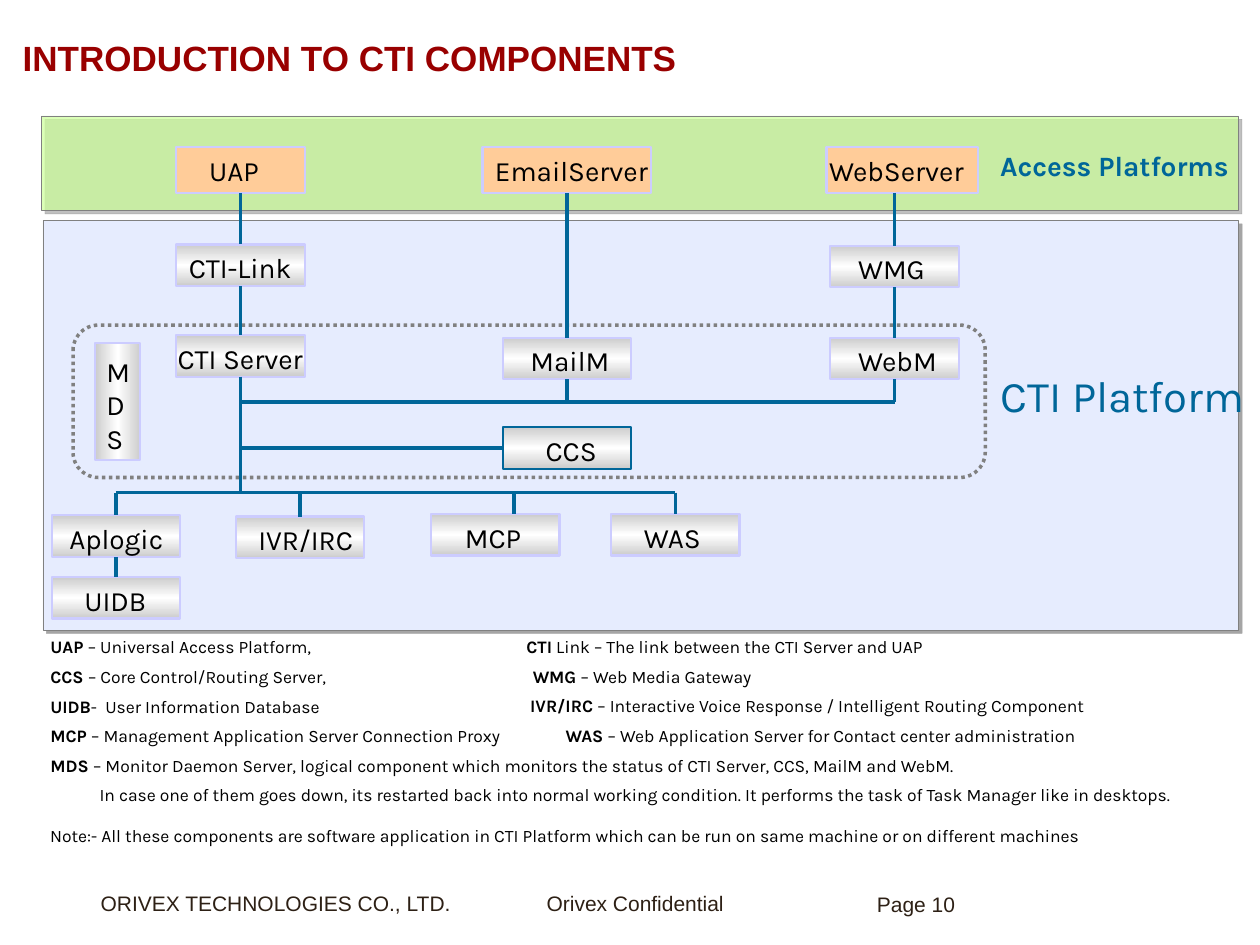
from copy import deepcopy
from dataclasses import dataclass

from lxml import etree
from pptx import Presentation
from pptx.dml.color import RGBColor
from pptx.enum.dml import MSO_LINE
from pptx.enum.shapes import MSO_CONNECTOR, MSO_SHAPE
from pptx.enum.text import MSO_ANCHOR, MSO_AUTO_SIZE, PP_ALIGN
from pptx.oxml import parse_xml
from pptx.oxml.ns import nsdecls, qn
from pptx.util import Inches, Pt

RECT, ROUND = MSO_SHAPE.RECTANGLE, MSO_SHAPE.ROUNDED_RECTANGLE
STRAIGHT, DOTTED = MSO_CONNECTOR.STRAIGHT, MSO_LINE.ROUND_DOT
LEFT, CENTER = PP_ALIGN.LEFT, PP_ALIGN.CENTER
TOP, MIDDLE = MSO_ANCHOR.TOP, MSO_ANCHOR.MIDDLE
N, W, S = 0, 1, 2
SITES = {N: (0.5, 0), W: (0, 0.5), S: (0.5, 1)}
COLS, ROWS = 100, 75


@dataclass(frozen=True)
class Theme:
    """Fonts, type sizes and colours."""
    head: str = "Arial"
    body: str = "Karla"
    title_size: float = 20
    platform_size: float = 25
    label_size: float = 16
    footer_size: float = 12
    note_size: float = 10
    title: str = "990000"
    text: str = "000000"
    footer: str = "2D2015"
    accent: str = "006699"
    edge: str = "CCCCFF"
    grey: str = "808080"
    shadow: str = "4D4D4D"
    steel: str = "CCCCCC"
    shine: str = "FFFFFF"
    server: str = "FFCC99"
    access: str = "CCFF99"
    platform: str = "E6ECFE"


class Deck:
    """Draws styled elements on a slide with a 100 by 75 grid."""

    def __init__(self, theme):
        self.t = theme
        self.prs = Presentation()
        self.prs.slide_width, self.prs.slide_height = Inches(10), Inches(7.5)
        self.s = self.prs.slides.add_slide(self.prs.slide_layouts[1])

    def x(self, cols):
        return round(self.prs.slide_width * cols / COLS)

    def y(self, rows):
        return round(self.prs.slide_height * rows / ROWS)

    def box(self, x, y, w, h):
        return self.x(x), self.y(y), self.x(w), self.y(h)

    def run(self, p, text, size, color, font=None, bold=False):
        r = p.add_run()
        r.text = text
        r.font.name, r.font.size, r.font.bold = font or self.t.body, Pt(size), bold
        r.font.color.rgb = RGBColor.from_string(color)

    def place(self, sp, area):
        sp.left, sp.top, sp.width, sp.height = self.box(*area)
        sp.text_frame.auto_size = MSO_AUTO_SIZE.NONE
        return sp.text_frame

    def title(self, text, area):
        tf = self.place(self.s.shapes.title, area)
        tf.vertical_anchor = MIDDLE
        p = tf.paragraphs[0]
        p.alignment = LEFT
        self.run(p, text, self.t.title_size, self.t.title, self.t.head, True)

    def body(self, lines, area):
        self.glossary(self.place(self.s.placeholders[1], area), lines)

    def side(self, lines, area):
        self.glossary(self.s.shapes.add_textbox(*self.box(*area)).text_frame, lines)

    def glossary(self, tf, lines):
        tf.word_wrap, tf.vertical_anchor = True, TOP
        for i, (indent, term, meaning) in enumerate(lines):
            p = tf.add_paragraph() if i else tf.paragraphs[0]
            pPr = p._p.get_or_add_pPr()
            pPr.set("marL", str(self.x(indent)))
            pPr.set("indent", "0")
            etree.SubElement(pPr, qn("a:buNone"))
            p.space_before = Pt(4.9 if i else 0)
            if term:
                self.run(p, term, self.t.note_size, self.t.text, bold=True)
            self.run(p, meaning, self.t.note_size, self.t.text)

    def text(self, text, area, size, color, font=None, bold=False, align=LEFT,
             inset=True, spacing=None):
        tf = self.s.shapes.add_textbox(*self.box(*area)).text_frame
        tf.word_wrap = True
        if not inset:
            tf.margin_left = tf.margin_right = tf.margin_top = tf.margin_bottom = 0
        p = tf.paragraphs[0]
        p.alignment, p.line_spacing = align, spacing
        self.run(p, text, size, color, font, bold)

    def shape(self, kind, area, line, width, fill=None):
        sp = self.s.shapes.add_shape(kind, *self.box(*area))
        sp.shadow.inherit = False
        sp.line.color.rgb = RGBColor.from_string(line)
        sp.line.width = Pt(width)
        if fill:
            sp.fill.solid()
            sp.fill.fore_color.rgb = RGBColor.from_string(fill)
        else:
            sp.fill.background()
        return sp

    def panel(self, area, fill, opacity=100):
        sp = self.shape(RECT, area, self.t.grey, 0.25, fill)
        spPr = sp._element.spPr
        clr = spPr.find(qn("a:solidFill")).find(qn("a:srgbClr"))
        etree.SubElement(clr, qn("a:alpha"), val=str(opacity * 1000))
        spPr.find(qn("a:effectLst")).append(parse_xml(
            f'<a:outerShdw {nsdecls("a")} blurRad="0" dist="{Pt(2.8)}" dir="2700000">'
            f'<a:srgbClr val="{self.t.shadow}"><a:alpha val="50000"/></a:srgbClr>'
            '</a:outerShdw>'))

    def frame(self, area):
        sp = self.shape(ROUND, area, self.t.grey, 2)
        sp.line.dash_style = DOTTED

    def metal(self, sp, angle):
        sp.fill.gradient()
        sp.fill.gradient_angle = angle
        for stop in sp.fill.gradient_stops:
            stop.color.rgb = RGBColor.from_string(self.t.steel)
        gs = sp._element.spPr.find(qn("a:gradFill")).find(qn("a:gsLst"))
        gs.insert(1, deepcopy(gs[0]))
        for stop, pos in zip(sp.fill.gradient_stops, (0, 0.5, 1)):
            stop.position = pos
        sp.fill.gradient_stops[1].color.rgb = RGBColor.from_string(self.t.shine)

    def node(self, text, area, inset, fill=None, line=None, angle=90, top=0.5):
        sp = self.shape(RECT, area, line or self.t.edge, 1.25, fill)
        if not fill:
            self.metal(sp, angle)
        tf = sp.text_frame
        tf.word_wrap, tf.vertical_anchor = True, TOP
        tf.margin_left, tf.margin_right = self.x(inset), 0
        tf.margin_top, tf.margin_bottom = self.y(top), 0
        p = tf.paragraphs[0]
        p.alignment = LEFT
        self.run(p, text, self.t.label_size, self.t.text)
        return sp

    def point(self, end):
        a, b = end
        if isinstance(a, (int, float)):
            return self.x(a), self.y(b)
        fx, fy = SITES[b]
        return a.left + round(a.width * fx), a.top + round(a.height * fy)

    def link(self, start, end):
        c = self.s.shapes.add_connector(STRAIGHT, *self.point(start), *self.point(end))
        c.line.color.rgb = RGBColor.from_string(self.t.accent)
        c.line.width = Pt(2)
        etree.SubElement(c._element.spPr, qn("a:effectLst"))
        for (a, b), join in ((start, c.begin_connect), (end, c.end_connect)):
            if not isinstance(a, (int, float)):
                join(a, b)


def main():
    """Build the slide."""
    t = Theme()
    d = Deck(t)
    d.title("INTRODUCTION TO CTI COMPONENTS", (0.8, 0.8, 82.5, 7.5))
    d.panel((3.4, 17.5, 94.9, 32.5), t.platform)
    d.panel((3.3, 9.2, 95, 7.5), t.access, 70)
    d.frame((5.8, 25.8, 72.4, 12.1))

    servers = [("UAP", 14, 10.2, 2.6), ("EmailServer", 38.3, 13.4, 1),
               ("WebServer", 65.6, 12, 0.2)]
    nodes = {name: d.node(name, (x, 11.7, w, 3.6), inset, t.server)
             for name, x, w, inset in servers}
    units = [("CTI-Link", 14, 19.4, 1), ("WMG", 65.9, 19.5, 2.2),
             ("CTI Server", 14, 26.6, 0.1), ("MailM", 39.9, 26.8, 2.2),
             ("WebM", 65.9, 26.8, 2.2), ("CCS", 39.9, 33.9, 3.4),
             ("Aplogic", 4.1, 40.9, 1.4), ("IVR/IRC", 18.7, 41, 1.8),
             ("MCP", 34.2, 40.8, 2.7), ("WAS", 48.5, 40.8, 2.6),
             ("UIDB", 4.1, 45.8, 2.6)]
    for name, x, y, inset in units:
        line = t.accent if name == "CCS" else t.edge
        nodes[name] = d.node(name, (x, y, 10.2, 3.3), inset, line=line)
    d.node("MDS", (7.55, 27.2, 3.6, 9.3), 0.9, angle=0, top=0.9)

    trunk, mail, web, join, bus = 19.1, 45, 71, 31.9, 39.1
    for upper, lower in (("UAP", "CTI-Link"), ("CTI-Link", "CTI Server"),
                         ("EmailServer", "MailM"), ("WMG", "WebM"),
                         ("Aplogic", "UIDB")):
        d.link((nodes[upper], S), (nodes[lower], N))
    d.link((web, 15.3), (nodes["WMG"], N))
    for name, x, y in (("CTI Server", trunk, bus), ("MailM", mail, join),
                       ("WebM", web, join)):
        d.link((nodes[name], S), (x, y))
    d.link((trunk, join), (web, join))
    d.link((trunk, 35.55), (nodes["CCS"], W))
    d.link((9.2, bus), (53.6, bus))
    for name, x in (("Aplogic", 9.2), ("IVR/IRC", 23.8), ("WAS", 53.6)):
        d.link((x, bus), (nodes[name], N))
    d.link((40.8, bus), (40.8, 40.8))

    d.text("Access Platforms", (78.4, 11.3, 21.6, 3.7), t.label_size, t.accent, bold=True)
    d.text("CTI Platform", (78.2, 28.8, 21.8, 4.5), t.platform_size, t.accent, align=CENTER)

    d.body([
        (0, "UAP ", "– Universal Access Platform,"),
        (0, "CCS ", "– Core Control/Routing Server,"),
        (0, "UIDB", "-  User Information Database"),
        (0, "MCP ", "– Management Application Server Connection Proxy"),
        (0, "MDS ", "– Monitor Daemon Server, logical component which monitors the "
                    "status of CTI Server, CCS, MailM and WebM."),
        (3.9, "", "In case one of them goes down, its restarted back into normal working "
                  "condition. It performs the task of Task Manager like in desktops."),
    ], (3, 50, 97, 15.2))
    d.side([
        (0, "CTI", " Link – The link between the CTI Server and UAP"),
        (0.5, "WMG ", "– Web Media Gateway"),
        (0.3, "IVR/IRC ", "– Interactive Voice Response / Intelligent Routing Component"),
        (3.1, "WAS ", "– Web Application Server for Contact center administration"),
    ], (40.8, 50, 59.2, 10))
    d.text("Note:- All these components are software application in CTI Platform which can "
           "be run on same machine or on different machines", (3, 65, 97, 2.7),
           t.note_size, t.text)

    footer = (t.footer_size, t.footer, t.head)
    d.text("ORIVEX TECHNOLOGIES CO., LTD.", (7, 70.2, 31.5, 2.9), *footer)
    d.text("Orivex Confidential", (42.4, 70.2, 18, 2.9), *footer)
    d.text("Page 10", (69.6, 71.1, 22.9, 3.9), *footer, inset=False, spacing=0.85)
    d.prs.save("out.pptx")


if __name__ == "__main__":
    main()
